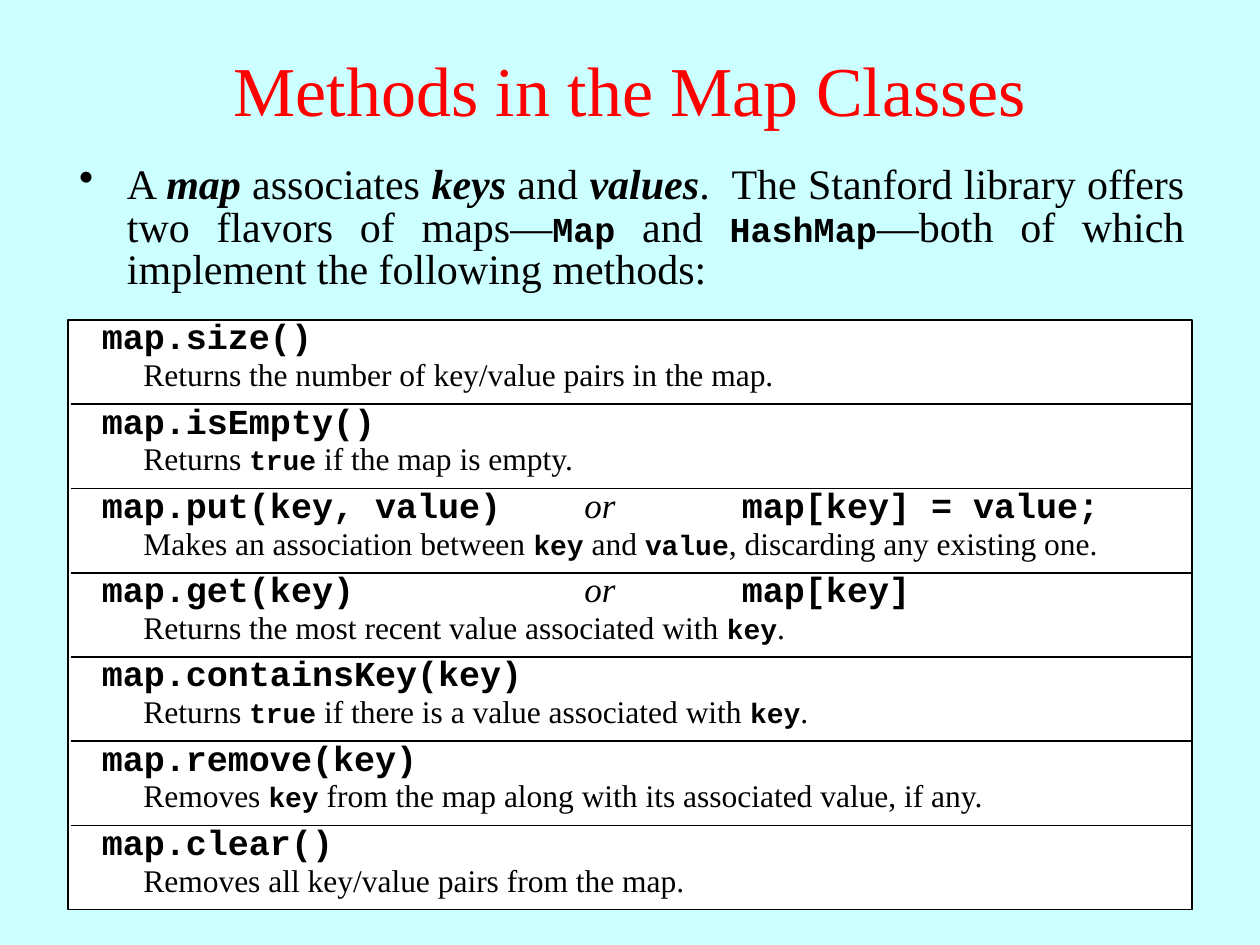
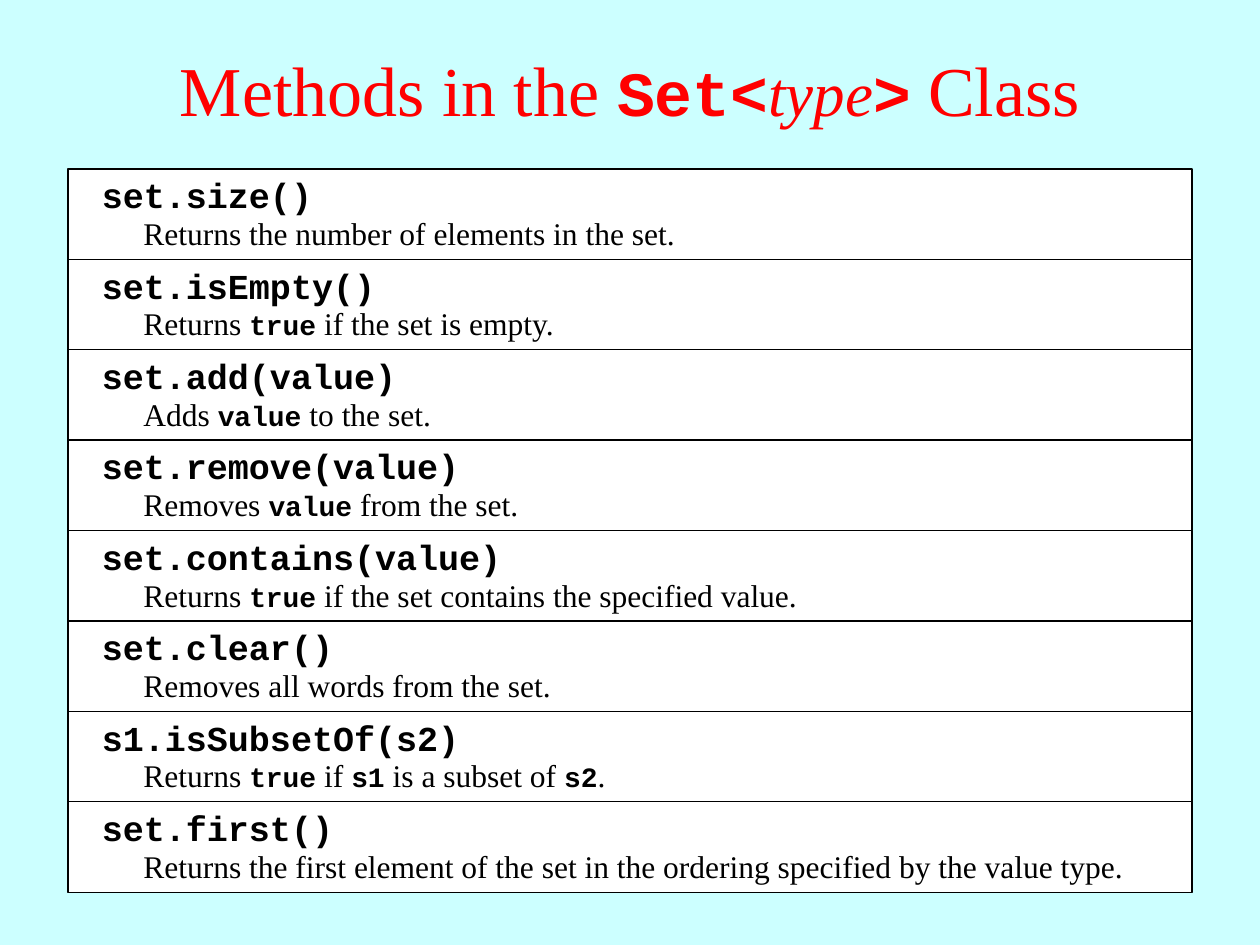
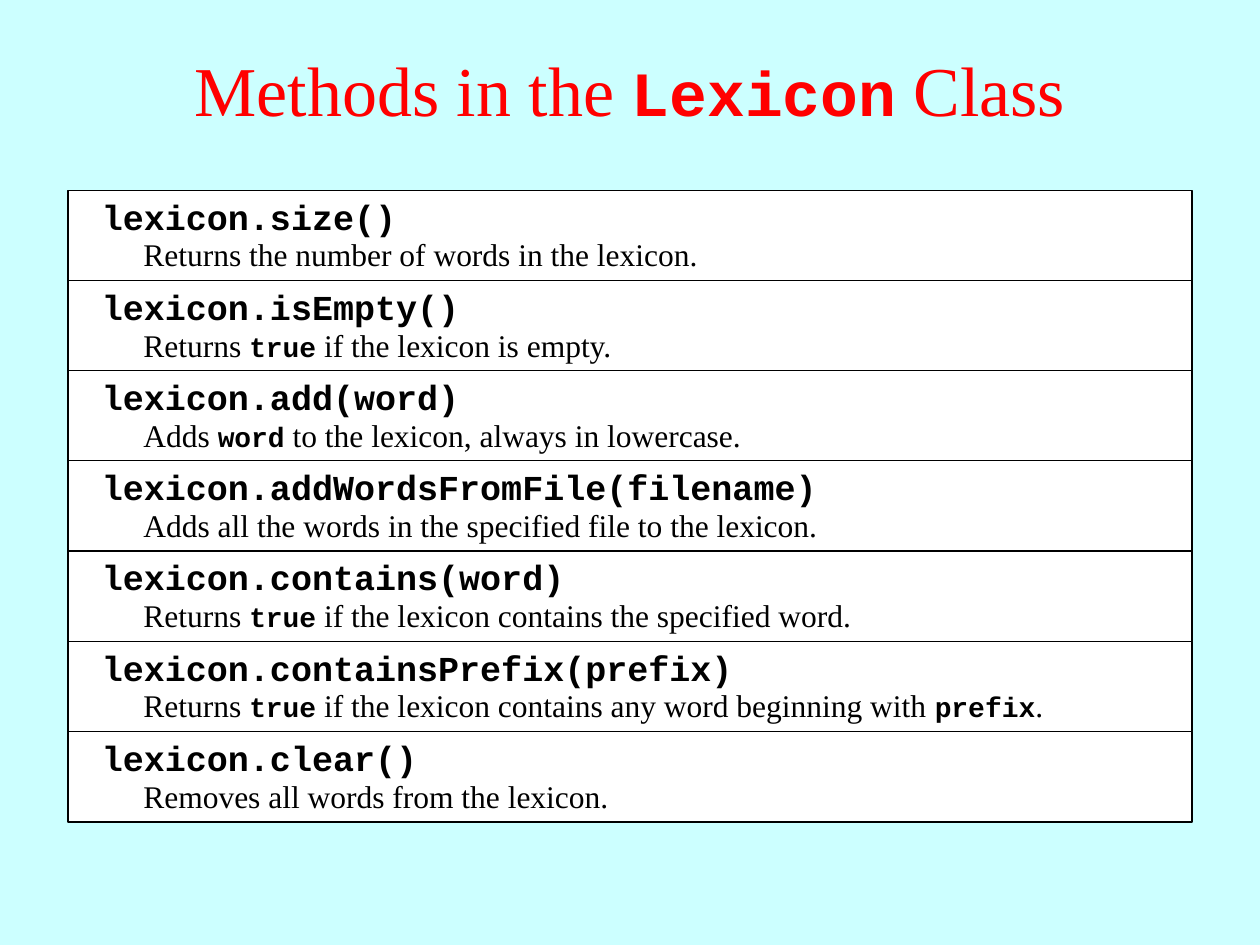
"""Build three slides that list the methods of the map, set and lexicon classes."""

import dataclasses
import typing

import lxml.etree
import pptx
import pptx.dml.color
import pptx.enum.shapes
import pptx.enum.text
import pptx.oxml.ns
import pptx.util

Inches = pptx.util.Inches
Pt = pptx.util.Pt
RGBColor = pptx.dml.color.RGBColor
qn = pptx.oxml.ns.qn

SKY = RGBColor(0xCC, 0xFF, 0xFF)
RED = RGBColor(0xFF, 0x00, 0x00)
BLACK = RGBColor(0x00, 0x00, 0x00)
WHITE = RGBColor(0xFF, 0xFF, 0xFF)

SERIF = "Times New Roman"
MONO = "Courier New"

PANEL_LEFT = 0.54
PANEL_WIDTH = 8.92
RULE_LEFT = 0.56
ROW_HEIGHT = 0.72
DESCRIPTION_DROP = 0.32
SYNTAX_TABS = (3.83, 5.08)


class Run(typing.NamedTuple):
    """A piece of text with its look."""

    text: str
    size: float
    font: str = SERIF
    bold: bool = False
    italic: bool = False


class Box(typing.NamedTuple):
    """A place on the slide in inches."""

    left: float
    top: float
    width: float
    height: float


class Method(typing.NamedTuple):
    """A method's syntax, its description and an optional shorthand."""

    syntax: str
    description: str
    shorthand: str = ""


@dataclasses.dataclass(frozen=True)
class MethodList:
    """One slide: its title, the methods and the span they fill."""

    title: list[Run]
    methods: list[Method]
    top: float
    bottom: float
    syntax_shift: float
    intro: typing.Optional[list[Run]] = None

    @property
    def pitch(self) -> float:
        """Return the distance between rows."""
        return (self.bottom - self.top) / len(self.methods)


def marked(text: str, size: float, code_size: float) -> list[Run]:
    """Split text at backticks into serif runs and bold code runs."""
    return [
        Run(part, code_size, MONO, bold=True) if index % 2 else Run(part, size)
        for index, part in enumerate(text.split("`"))
        if part
    ]


def add_text(shapes, box: Box, runs: list[Run], color: RGBColor = BLACK):
    """Add a wrapping text box and return its frame."""
    frame = shapes.add_textbox(*map(Inches, box)).text_frame
    frame.word_wrap = True
    for piece in runs:
        run = frame.paragraphs[0].add_run()
        run.text = piece.text
        run.font.name = piece.font
        run.font.size = Pt(piece.size)
        run.font.bold = piece.bold
        run.font.italic = piece.italic
        run.font.color.rgb = color
    return frame


def add_title(slide, runs: list[Run]) -> None:
    """Add the centred red title."""
    frame = add_text(slide.shapes, Box(0, 0.08, 10, 1.25), runs, RED)
    frame.vertical_anchor = pptx.enum.text.MSO_ANCHOR.MIDDLE
    frame.paragraphs[0].alignment = pptx.enum.text.PP_ALIGN.CENTER


def add_intro(slide, runs: list[Run]) -> None:
    """Add the justified bullet above the methods."""
    frame = add_text(slide.shapes, Box(0.53, 1.26, 8.97, 1.24), runs)
    paragraph = frame.paragraphs[0]
    properties = paragraph._p.get_or_add_pPr()
    properties.set("marL", str(Inches(0.38)))
    properties.set("indent", str(-Inches(0.38)))
    lxml.etree.SubElement(properties, qn("a:buChar"), char="•")
    paragraph.alignment = pptx.enum.text.PP_ALIGN.JUSTIFY
    paragraph.line_spacing = 0.85
    paragraph.space_after = Pt(12)


def add_panel(shapes, top: float, height: float) -> None:
    """Add a white outlined panel."""
    panel = shapes.add_shape(
        pptx.enum.shapes.MSO_SHAPE.RECTANGLE,
        *map(Inches, (PANEL_LEFT, top, PANEL_WIDTH, height)),
    )
    panel.shadow.inherit = False
    panel.fill.solid()
    panel.fill.fore_color.rgb = WHITE
    panel.line.color.rgb = BLACK
    panel.line.width = Pt(0.75)


def add_rule(shapes, y: float) -> None:
    """Add a horizontal rule between two rows."""
    rule = shapes.add_connector(
        pptx.enum.shapes.MSO_CONNECTOR.STRAIGHT,
        *map(Inches, (RULE_LEFT, y, PANEL_LEFT + PANEL_WIDTH, y)),
    )
    rule.line.color.rgb = BLACK
    rule.line.width = Pt(1)
    lxml.etree.SubElement(rule._element.spPr, qn("a:effectLst"))


def add_method(shapes, method: Method, top: float) -> None:
    """Add a method's syntax line and the description below it."""
    syntax = [Run(method.syntax, 20, MONO, bold=True)]
    if method.shorthand:
        syntax += [
            Run("\tor\t", 20, italic=True),
            Run(method.shorthand, 20, MONO, bold=True),
        ]
    heading = add_text(shapes, Box(0.71, top, 8.58, 0.43), syntax)
    if method.shorthand:
        properties = heading.paragraphs[0]._p.get_or_add_pPr()
        tabs = lxml.etree.SubElement(properties, qn("a:tabLst"))
        for position in SYNTAX_TABS:
            lxml.etree.SubElement(tabs, qn("a:tab"), pos=str(Inches(position)), algn="l")
    description = add_text(
        shapes,
        Box(1.04, top + DESCRIPTION_DROP, 8.4, 0.4),
        marked(method.description, 18, 16),
    )
    for frame in (heading, description):
        frame.auto_size = pptx.enum.text.MSO_AUTO_SIZE.SHAPE_TO_FIT_TEXT


def add_method_slide(presentation, content: MethodList) -> None:
    """Add a slide with its title, intro and rows of methods."""
    slide = presentation.slides.add_slide(presentation.slide_layouts[6])
    add_title(slide, content.title)
    if content.intro:
        add_intro(slide, content.intro)
        add_panel(slide.shapes, content.top, content.bottom - content.top)
    for index, method in enumerate(content.methods):
        top = content.top + index * content.pitch
        shapes = slide.shapes
        if not content.intro:
            shapes = shapes.add_group_shape().shapes
            add_panel(shapes, top, ROW_HEIGHT)
        elif index:
            add_rule(shapes, top)
        add_method(shapes, method, top + content.syntax_shift)


MAP_INTRO = [
    Run("A ", 24),
    Run("map", 24, bold=True, italic=True),
    Run(" associates ", 24),
    Run("keys", 24, bold=True, italic=True),
    Run(" and ", 24),
    Run("values", 24, bold=True, italic=True),
    *marked(
        ".  The Stanford library offers two flavors of maps—`Map` and `HashMap`"
        "—both of which implement the following methods:",
        24,
        20,
    ),
]

MAP_METHODS = [
    Method("map.size()", "Returns the number of key/value pairs in the map."),
    Method("map.isEmpty()", "Returns `true` if the map is empty."),
    Method(
        "map.put(key, value)",
        "Makes an association between `key` and `value`, discarding any existing one.",
        "map[key] = value;",
    ),
    Method(
        "map.get(key)",
        "Returns the most recent value associated with `key`.",
        "map[key]",
    ),
    Method(
        "map.containsKey(key)",
        "Returns `true` if there is a value associated with `key`.",
    ),
    Method(
        "map.remove(key)",
        "Removes `key` from the map along with its associated value, if any.",
    ),
    Method("map.clear()", "Removes all key/value pairs from the map."),
]

SET_METHODS = [
    Method("set.size()", "Returns the number of elements in the set."),
    Method("set.isEmpty()", "Returns `true` if the set is empty."),
    Method("set.add(value)", "Adds `value` to the set."),
    Method("set.remove(value)", "Removes `value` from the set."),
    Method(
        "set.contains(value)", "Returns `true` if the set contains the specified value."
    ),
    Method("set.clear()", "Removes all words from the set."),
    Method("s1.isSubsetOf(s2)", "Returns `true` if `s1` is a subset of `s2`."),
    Method(
        "set.first()",
        "Returns the first element of the set in the ordering specified by the value type.",
    ),
]

LEXICON_METHODS = [
    Method("lexicon.size()", "Returns the number of words in the lexicon."),
    Method("lexicon.isEmpty()", "Returns `true` if the lexicon is empty."),
    Method("lexicon.add(word)", "Adds `word` to the lexicon, always in lowercase."),
    Method(
        "lexicon.addWordsFromFile(filename)",
        "Adds all the words in the specified file to the lexicon.",
    ),
    Method(
        "lexicon.contains(word)",
        "Returns `true` if the lexicon contains the specified word.",
    ),
    Method(
        "lexicon.containsPrefix(prefix)",
        "Returns `true` if the lexicon contains any word beginning with `prefix`.",
    ),
    Method("lexicon.clear()", "Removes all words from the lexicon."),
]

SET_TITLE = [
    *marked("Methods in the `Set<`", 40, 36),
    Run("type", 36, italic=True),
    *marked("`>` Class", 40, 36),
]

METHOD_LISTS = [
    MethodList(
        marked("Methods in the Map Classes", 40, 36),
        MAP_METHODS,
        top=2.54,
        bottom=7.22,
        syntax_shift=-0.09,
        intro=MAP_INTRO,
    ),
    MethodList(SET_TITLE, SET_METHODS, top=1.34, bottom=7.08, syntax_shift=-0.01),
    MethodList(
        marked("Methods in the `Lexicon` Class", 40, 36),
        LEXICON_METHODS,
        top=1.51,
        bottom=6.52,
        syntax_shift=-0.01,
    ),
]


def main() -> None:
    """Build and save the presentation."""
    presentation = pptx.Presentation()
    presentation.slide_width = Inches(10)
    presentation.slide_height = Inches(7.5)
    backdrop = presentation.slide_master.background.fill
    backdrop.solid()
    backdrop.fore_color.rgb = SKY
    for content in METHOD_LISTS:
        add_method_slide(presentation, content)
    presentation.save("out.pptx")


if __name__ == "__main__":
    main()
